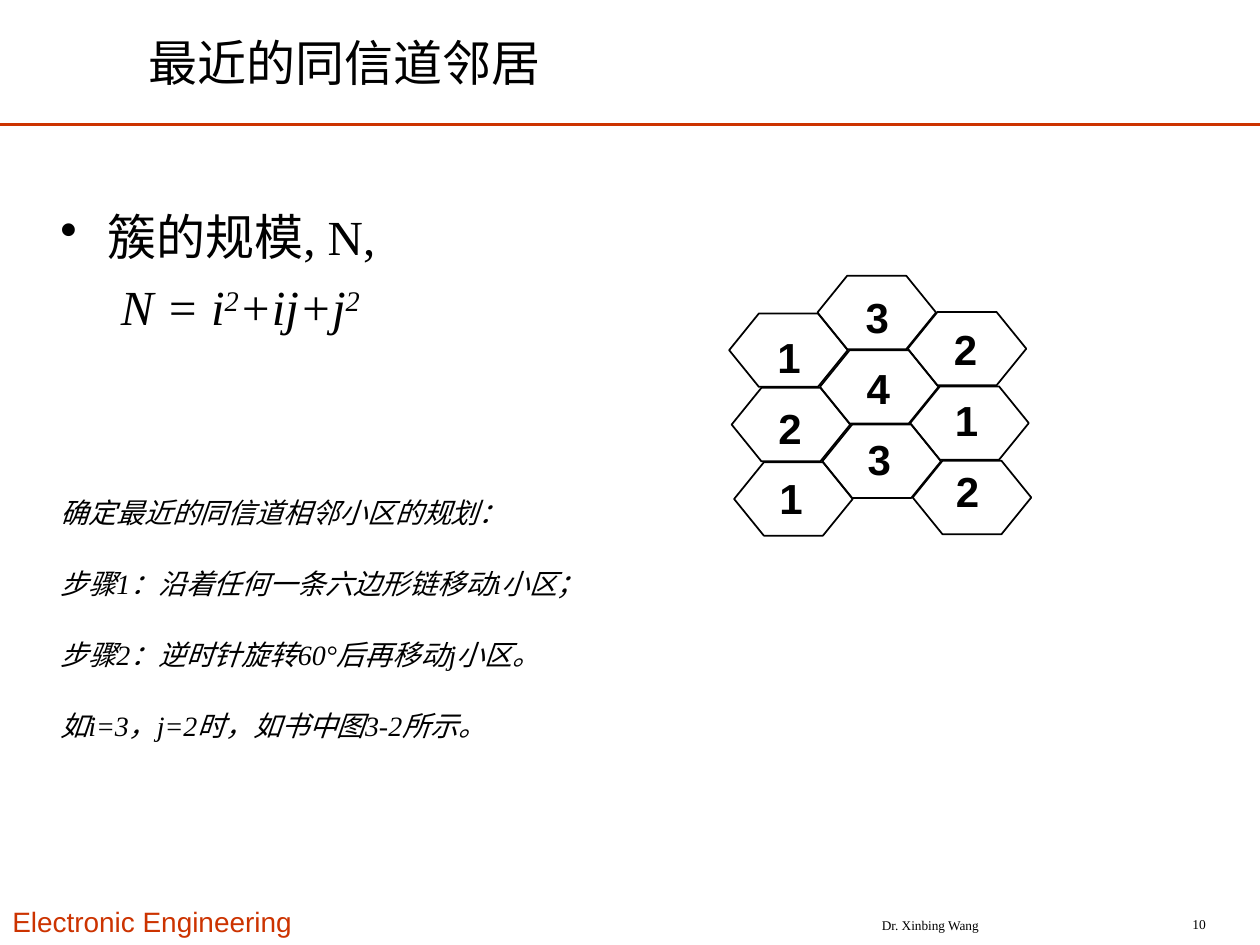
"""Build the slide on the nearest co-channel neighbours of a hexagonal cell cluster."""
from lxml.etree import SubElement
from pptx import Presentation
from pptx.dml.color import RGBColor
from pptx.enum.shapes import MSO_CONNECTOR as Connector, MSO_SHAPE as Shape
from pptx.enum.text import MSO_ANCHOR as Anchor, MSO_AUTO_SIZE as AutoSize, PP_ALIGN as Align
from pptx.oxml.ns import qn
from pptx.util import Cm, Pt

BLACK = RGBColor(0x00, 0x00, 0x00)
RED = RGBColor(0xCC, 0x33, 0x00)
SERIF, SANS = "Times New Roman", "Arial"

TITLE = "最近的同信道邻居"
BULLET = "簇的规模, N,"
FORMULA = [("N = i", False), ("2", True), ("+ij+j", False), ("2", True)]
STEPS = [
    "确定最近的同信道相邻小区的规划：",
    "步骤1：沿着任何一条六边形链移动i小区；",
    "步骤2：逆时针旋转60°后再移动j小区。",
    "如i=3，j=2时，如书中图3-2所示。",
]
FOOTERS = [
    ("Electronic Engineering", (0, 18.11, 6.48, 0.94), SANS, 16, RED, Align.LEFT, Anchor.TOP),
    ("Dr. Xinbing Wang", (15.67, 18.34, 6.17, 0.64), SERIF, 7.6, BLACK, Align.CENTER, Anchor.MIDDLE),
    ("10", (22.45, 18.31, 2.11, 0.64), SERIF, 7.7, BLACK, Align.RIGHT, Anchor.MIDDLE),
]
COLUMNS = [
    {"cell": (14.7, 6.32), "label": (15.42, 6.55), "channels": "121"},
    {"cell": (16.48, 5.56), "label": (17.2, 5.75), "channels": "343"},
    {"cell": (18.3, 6.29), "label": (18.98, 6.4), "channels": "212"},
]
CELL_SIZE, CELL_STEP = (2.39, 1.48), (0.05, 1.5)
LABEL_SIZE, LABEL_STEP = (1, 1.27), (0.02, 1.43)


def place(start, step, row, size):
    return [start[0] + row * step[0], start[1] + row * step[1], *size]


def add_span(para, text, size, font=SERIF, color=BLACK, bold=False, italic=False):
    span = para.add_run()
    span.text = text
    span.font.name, span.font.size = font, Pt(size)
    span.font.bold, span.font.italic = bold, italic
    span.font.color.rgb = color
    return span


def add_box(page, area, anchor=Anchor.TOP):
    frame = page.shapes.add_textbox(*map(Cm, area)).text_frame
    frame.word_wrap = True
    frame.vertical_anchor = anchor
    return frame


def add_title(page):
    title = page.shapes.title
    title.left, title.top, title.width, title.height = map(Cm, (2.74, 0.38, 16.84, 1.75))
    frame = title.text_frame
    frame.auto_size = AutoSize.NONE
    frame.vertical_anchor = Anchor.MIDDLE
    para = frame.paragraphs[0]
    para.alignment = Align.LEFT
    add_span(para, TITLE, 28)


def add_rule(page):
    rule = page.shapes.add_connector(Connector.STRAIGHT, 0, Cm(2.51), Cm(25.4), Cm(2.51))
    rule.line.color.rgb = RED
    rule.line.width = Pt(1.5)
    SubElement(rule._element.spPr, qn("a:effectLst"))


def add_body(page):
    frame = add_box(page, (0.97, 2.72, 12.55, 14.6))
    frame.margin_top = Cm(1.47)
    bullet = frame.paragraphs[0]
    props = bullet._p.get_or_add_pPr()
    props.set("marL", str(Cm(0.95)))
    props.set("indent", str(-Cm(0.95)))
    bullet.line_spacing = Pt(33)
    SubElement(props, qn("a:buChar")).set("char", "•")
    add_span(bullet, BULLET, 28)

    formula = frame.add_paragraph()
    formula._p.get_or_add_pPr().set("marL", str(Cm(1.22)))
    formula.line_spacing, formula.space_before = Pt(33), Pt(7)
    for text, raised in FORMULA:
        span = add_span(formula, text, 28, italic=True)
        if raised:
            span.font._element.set("baseline", "30000")

    for number, text in enumerate(STEPS):
        step = frame.add_paragraph()
        step.line_spacing = Pt(33.6)
        step.space_before = Pt(7 if number else 77)
        add_span(step, text, 16, italic=True)


def add_cells(page):
    for column in COLUMNS:
        for row in range(len(column["channels"])):
            area = place(column["cell"], CELL_STEP, row, CELL_SIZE)
            cell = page.shapes.add_shape(Shape.HEXAGON, *map(Cm, area))
            cell.adjustments[0] = 0.405
            cell.shadow.inherit = False
            cell.fill.background()
            cell.line.color.rgb = BLACK
            cell.line.width = Pt(1)
    for column in COLUMNS:
        for row, channel in enumerate(column["channels"]):
            frame = add_box(page, place(column["label"], LABEL_STEP, row, LABEL_SIZE))
            add_span(frame.paragraphs[0], channel, 24, SANS, bold=True)


def add_footers(page):
    for text, area, font, size, color, align, anchor in FOOTERS:
        para = add_box(page, area, anchor).paragraphs[0]
        para.alignment = align
        add_span(para, text, size, font, color)


def main():
    deck = Presentation()
    deck.slide_width, deck.slide_height = Cm(25.4), Cm(19.05)
    page = deck.slides.add_slide(deck.slide_layouts[5])
    add_rule(page)
    add_footers(page)
    add_title(page)
    add_body(page)
    add_cells(page)
    deck.save("out.pptx")


if __name__ == "__main__":
    main()
